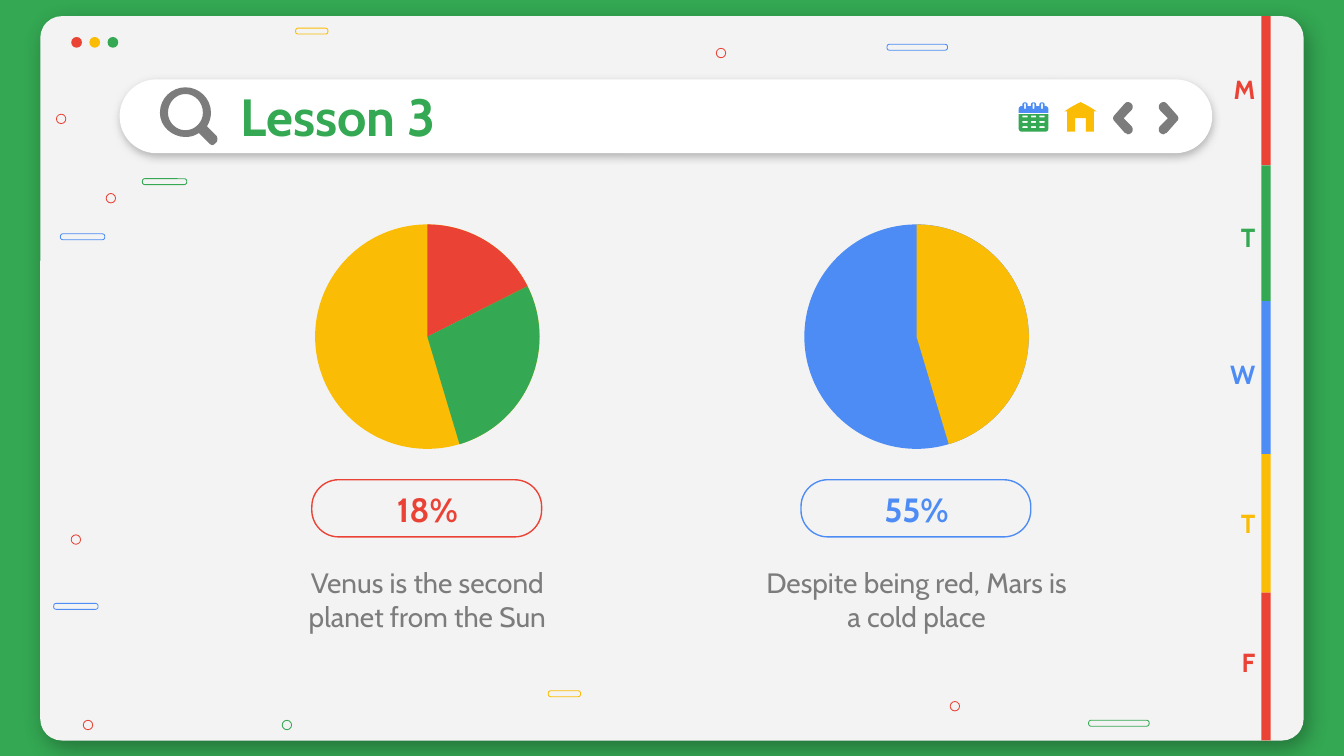
from dataclasses import dataclass
from itertools import product
from typing import NamedTuple

from lxml.etree import SubElement
from pptx import Presentation
from pptx.dml.color import RGBColor
from pptx.enum.shapes import MSO_SHAPE as Preset
from pptx.enum.text import MSO_ANCHOR as Anchor, MSO_AUTO_SIZE as AutoSize, PP_ALIGN as Align
from pptx.oxml.ns import qn
from pptx.util import Inches, Pt

RED = RGBColor(0xEA, 0x43, 0x35)
YELLOW = RGBColor(0xFB, 0xBC, 0x05)
GREEN = RGBColor(0x34, 0xA8, 0x53)
BLUE = RGBColor(0x4D, 0x8C, 0xF5)
GREY = RGBColor(0x7C, 0x7C, 0x7C)
PALE = RGBColor(0xF3, 0xF3, 0xF3)
WHITE = RGBColor(0xFF, 0xFF, 0xFF)
BLACK = RGBColor(0, 0, 0)

FONT = "Cabin"
WIDTH, HEIGHT = Inches(10), Inches(5.625)
COLUMNS = 1000
CELL = WIDTH // COLUMNS
TITLE_LEVEL = 60


class Area(NamedTuple):
    column: float
    row: float
    columns: float
    rows: float

    def lengths(self) -> list[int]:
        return [round(value * CELL) for value in self]


@dataclass
class Shadow:
    color: RGBColor
    alpha: int
    blur: float
    distance: float
    angle: int


@dataclass
class Slice:
    color: RGBColor
    start: float
    end: float


@dataclass
class Planet:
    column: float
    share: str
    color: RGBColor
    disc: RGBColor
    slices: list[Slice]
    caption: str


@dataclass
class Day:
    letter: str
    color: RGBColor
    rows: float
    letter_row: float


PLANETS = [
    Planet(196, "18%", RED, YELLOW, [Slice(RED, 0, 63.24), Slice(GREEN, 63.24, 163.3)],
           "Venus is the second planet from the Sun"),
    Planet(560, "55%", BLUE, BLUE, [Slice(YELLOW, 0, 163.3)],
           "Despite being red, Mars is a cold place"),
]
DAYS = [Day("M", RED, 111, 51), Day("T", GREEN, 101, 161), Day("W", BLUE, 114, 263),
        Day("T", YELLOW, 103, 374), Day("F", RED, 110, 477)]
RINGS = [(53, 398, RED), (79, 144, RED), (42, 85, RED), (62, 536, RED),
         (210, 536, GREEN), (707, 522, RED), (533, 36, RED)]
DASHES = [(408, 514, 24, YELLOW), (810, 536, 45, GREEN), (45, 174, 33, BLUE),
          (40, 449, 33, BLUE), (106, 133, 33, GREEN), (220, 21, 24, YELLOW), (660, 33, 45, BLUE)]

MAGNIFIER_RIM = [(138, 65), (128, 65, 119, 73, 119, 84), (119, 94, 128, 102, 138, 102),
                 (142, 102, 145, 101, 148, 99), (155, 106), (156, 107, 157, 108, 158, 108),
                 (159, 108, 160, 107, 161, 106), (162, 105, 162, 102, 161, 101), (154, 94),
                 (156, 91, 157, 87, 157, 84), (157, 73, 148, 65, 138, 65)]
MAGNIFIER_LENS = [(138, 70), (145, 70, 151, 76, 151, 84), (151, 91, 145, 97, 138, 97),
                  (131, 97, 125, 91, 125, 84), (125, 76, 131, 70, 138, 70)]
HOUSE = [(804, 76), (800, 78, 796, 80, 792, 83), (794, 83), (794, 98), (800, 98), (800, 88),
         (808, 88), (808, 98), (814, 98), (814, 83), (816, 83), (812, 80, 808, 78, 804, 76)]
CHEVRON = [(866, 76), (863, 76, 861, 79, 863, 82), (869, 88), (863, 94),
           (861, 97, 863, 100, 866, 100), (866, 100, 867, 99, 868, 99), (876, 90),
           (877, 89, 877, 87, 876, 86), (868, 77), (867, 76, 866, 76, 866, 76)]


def flatten(contour: list[tuple], steps: int = 8) -> list[tuple[int, int]]:
    points = [contour[0]]
    for part in contour[1:]:
        if len(part) == 2:
            points.append(part)
            continue
        knots = [points[-1], part[:2], part[2:4], part[4:]]
        for step in range(1, steps + 1):
            t = step / steps
            weights = ((1 - t) ** 3, 3 * t * (1 - t) ** 2, 3 * t * t * (1 - t), t ** 3)
            points.append(tuple(sum(w * knot[axis] for w, knot in zip(weights, knots))
                                for axis in (0, 1)))
    return [(round(x * CELL), round(y * CELL)) for x, y in points]


def slot(x: float, y: float, wide: float, high: float) -> list[tuple]:
    r = min(wide, high) / 2
    right, low = x + wide, y + high
    return [(x + r, y), (right - r, y), (right, y, right, y, right, y + r), (right, low - r),
            (right, low, right, low, right - r, low), (x + r, low),
            (x, low, x, low, x, low - r), (x, y + r), (x, y, x, y, x + r, y)]


def paint(shape, fill: RGBColor | None = None, line: RGBColor | None = None,
          width: float = 0.75, shadow: Shadow | None = None) -> None:
    shape.shadow.inherit = False
    if fill is None:
        shape.fill.background()
    else:
        shape.fill.solid()
        shape.fill.fore_color.rgb = fill
    if line is None:
        shape.line.fill.background()
    else:
        shape.line.color.rgb = line
        shape.line.width = Pt(width)
    if shadow:
        effects = shape.element.spPr.find(qn("a:effectLst"))
        outer = SubElement(effects, qn("a:outerShdw"), blurRad=str(Pt(shadow.blur)),
                           dist=str(Pt(shadow.distance)), dir=str(shadow.angle * 60000),
                           algn="bl", rotWithShape="0")
        color = SubElement(outer, qn("a:srgbClr"), val=str(shadow.color))
        SubElement(color, qn("a:alpha"), val=str(shadow.alpha * 1000))


def draw(page, preset: Preset, area: Area, adjust: tuple = (), **look):
    shape = page.shapes.add_shape(preset, *area.lengths())
    for index, value in enumerate(adjust):
        shape.adjustments[index] = value
    paint(shape, **look)
    return shape


def draw_icon(page, color: RGBColor, *contours: list[tuple]) -> None:
    outlines = [flatten(contour) for contour in contours]
    builder = page.shapes.build_freeform(*outlines[0][0], scale=1.0)
    for index, outline in enumerate(outlines):
        if index:
            builder.move_to(*outline[0])
        builder.add_line_segments(outline[1:], close=True)
    paint(builder.convert_to_shape(), fill=color)


def write(box, text: str, size: float, color: RGBColor, bold: bool, align: Align,
          anchor: Anchor = Anchor.MIDDLE, top: float = 0.1, bottom: float = 0.1) -> None:
    frame = box.text_frame
    frame.word_wrap = True
    frame.auto_size = AutoSize.NONE
    frame.vertical_anchor = anchor
    frame.margin_left = frame.margin_right = Inches(0.1)
    frame.margin_top, frame.margin_bottom = Inches(top), Inches(bottom)
    para = frame.paragraphs[0]
    para.alignment = align
    span = para.add_run()
    span.text = text
    span.font.name, span.font.size, span.font.bold = FONT, Pt(size), bold
    span.font.color.rgb = color


def add_text(page, area: Area, *words, **layout) -> None:
    write(page.shapes.add_textbox(*area.lengths()), *words, **layout)


def draw_window(page) -> None:
    draw(page, Preset.ROUNDED_RECTANGLE, Area(30, 12, 940, 539), (0.03,), fill=PALE,
         shadow=Shadow(BLACK, 32, 12.4, 5.2, 57))
    for index, color in enumerate((RED, YELLOW, GREEN)):
        draw(page, Preset.OVAL, Area(53 + 13.5 * index, 27.5, 8, 8), fill=color)
    for column, row, color in RINGS:
        draw(page, Preset.OVAL, Area(column, row, 7, 7), line=color, width=0.44)
    for column, row, columns, color in DASHES:
        draw(page, Preset.ROUNDED_RECTANGLE, Area(column, row, columns, 4.4), (0.4,),
             line=color, width=0.44)
    draw(page, Preset.ROUNDED_RECTANGLE, Area(89, 59, 813, 55), (0.5,), fill=WHITE,
         shadow=Shadow(GREY, 50, 4.5, 1.5, 90))


def draw_icons(page) -> None:
    draw_icon(page, GREY, MAGNIFIER_RIM, MAGNIFIER_LENS)
    rings = (775.3, 769, 762.7)
    slots = [slot(x - 2, y, 4, 1.4) for y, x in product((86, 90, 94), rings)]
    draw_icon(page, GREEN, [(758, 85), (758, 96), (758, 97, 759, 98, 760, 98), (778, 98),
                            (779, 98, 780, 97, 780, 96), (780, 85)], *slots)
    top = [(758, 84), (780, 84), (780, 81), (780, 80, 779, 79, 778, 79)]
    for x in rings:
        top += [(x + 2, 79), (x + 2, 78), (x + 2, 75.5, x - 2, 75.5, x - 2, 78), (x - 2, 79)]
    top += [(760, 79), (759, 79, 758, 80, 758, 81)]
    draw_icon(page, BLUE, top, *(slot(x - 0.7, 77, 1.4, 4) for x in rings))
    draw_icon(page, YELLOW, HOUSE)
    mirror = 828 + 877
    left = [tuple(mirror - value if index % 2 == 0 else value
                  for index, value in enumerate(part)) for part in CHEVRON]
    for chevron in (CHEVRON, left):
        draw_icon(page, GREY, chevron)


def draw_planet(page, planet: Planet) -> None:
    disc = Area(planet.column + 38.5, 167, 167, 167)
    draw(page, Preset.OVAL, disc, fill=planet.disc)
    for part in planet.slices:
        angles = (part.start * 0.6, part.end * 0.6)
        draw(page, Preset.PIE, disc, angles, fill=part.color).rotation = 270
    draw(page, Preset.ROUNDED_RECTANGLE, Area(planet.column + 36, 357, 171, 42.5), (0.47,),
         line=planet.color)
    add_text(page, Area(planet.column + 83.5, 363, 77, 31), planet.share, 18, planet.color,
             True, Align.CENTER)
    add_text(page, Area(planet.column, 413, 244, 58), planet.caption, 15, GREY, False,
             Align.CENTER, anchor=Anchor.BOTTOM, top=0.2, bottom=0)


def draw_days(page) -> None:
    row = 12
    for day in DAYS:
        draw(page, Preset.RECTANGLE, Area(938.5, row, 7, day.rows), fill=day.color)
        add_text(page, Area(896, day.letter_row, 48, 31), day.letter, 14, day.color, True,
                 Align.RIGHT)
        row += day.rows


def main() -> None:
    deck = Presentation()
    deck.slide_width, deck.slide_height = WIDTH, HEIGHT
    page = deck.slides.add_slide(deck.slide_layouts[5])
    page.background.fill.solid()
    page.background.fill.fore_color.rgb = GREEN
    draw_window(page)
    for planet in PLANETS:
        draw_planet(page, planet)
    draw_days(page)
    draw_icons(page)
    title = page.shapes.title
    title.left, title.top, title.width, title.height = Area(169, TITLE_LEVEL, 709, 52).lengths()
    write(title, "Lesson 3", 28, GREEN, True, Align.LEFT)
    title.element.getparent().append(title.element)
    deck.save("out.pptx")


if __name__ == "__main__":
    main()
